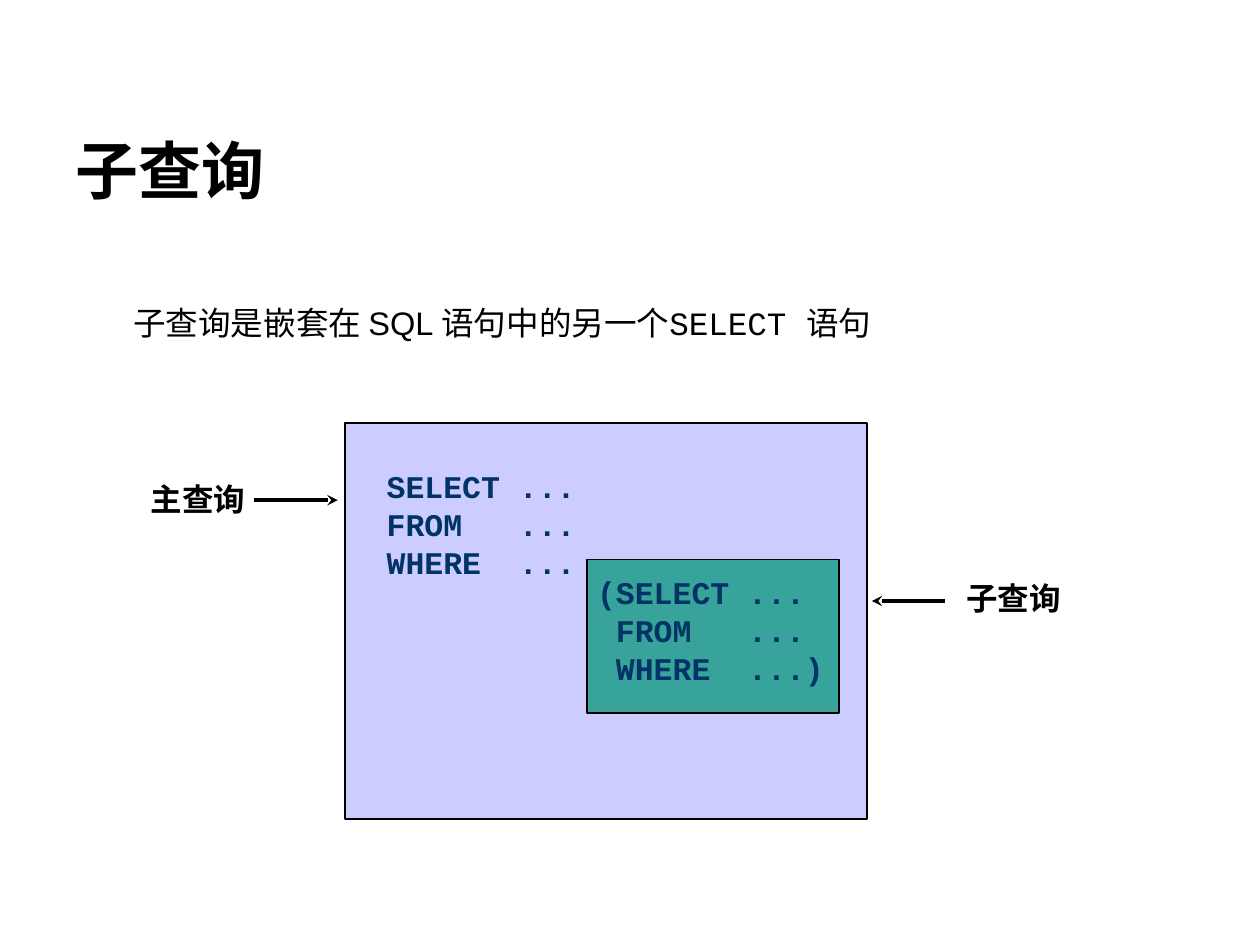
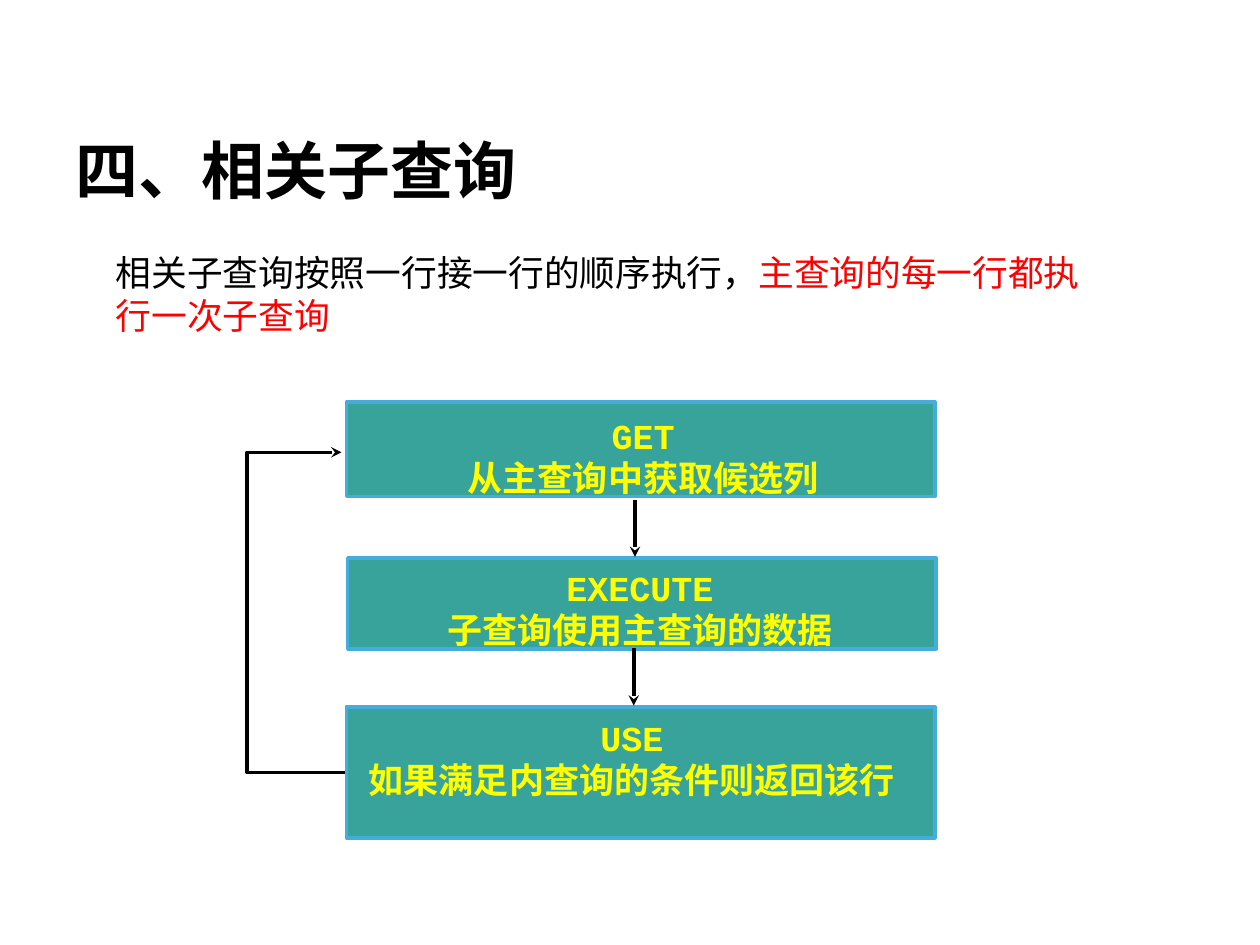
from dataclasses import dataclass

from lxml.etree import SubElement
from pptx import Presentation
from pptx.dml.color import RGBColor
from pptx.enum.shapes import MSO_CONNECTOR, MSO_SHAPE
from pptx.enum.text import MSO_ANCHOR, PP_ALIGN
from pptx.oxml.ns import qn
from pptx.slide import Slide
from pptx.util import Emu, Inches, Pt

COLUMNS, ROWS = 100, 75
SLIDE_WIDTH, SLIDE_HEIGHT = Inches(10), Inches(7.5)

BLACK, RED, YELLOW = "000000", "FF0000", "FFFF00"
NAVY, LAVENDER, TEAL, SKY = "003366", "CCCCFF", "38A39A", "44ADDB"
SANS, MONO = "Arial", "Courier New"


@dataclass(frozen=True)
class Area:
    column: float
    row: float
    columns: float
    rows: float


@dataclass(frozen=True)
class Style:
    size: float
    face: str = SANS
    color: str = BLACK
    bold: bool = False
    align: PP_ALIGN = PP_ALIGN.LEFT
    anchor: MSO_ANCHOR = MSO_ANCHOR.TOP
    spacing: float = 1.0
    tab_columns: float = 0


@dataclass(frozen=True)
class Span:
    text: str
    face: str | None = None
    color: str | None = None


@dataclass(frozen=True)
class Panel:
    area: Area
    fill: str
    line: str
    weight: float


@dataclass(frozen=True)
class Label:
    area: Area
    lines: list[str]
    style: Style


@dataclass(frozen=True)
class Step:
    row: float
    rows: float
    column: float
    caption_row: float
    caption_center: float
    lines: list[str]


TITLE = Style(36, bold=True, anchor=MSO_ANCHOR.MIDDLE, spacing=0.9)
TITLE_AREA = Area(5, 7.6, 90, 12.5)
CALLOUT = Style(18, bold=True)
OUTER_CODE = Style(18, MONO, NAVY, bold=True, tab_columns=10.5)
INNER_CODE = Style(18, MONO, NAVY, bold=True, tab_columns=12)
STEP_TEXT = Style(20, MONO, YELLOW, bold=True, align=PP_ALIGN.CENTER)

QUERY_PANELS = [
    Panel(Area(27.4, 33.6, 41.4, 31.4), LAVENDER, BLACK, 1),
    Panel(Area(46.6, 44.4, 20, 12.2), TEAL, BLACK, 1),
]
QUERY_LABELS = [
    Label(Area(29.7, 36.6, 18.5, 10),
          ["SELECT\t...", "FROM\t...", "WHERE\t..."], OUTER_CODE),
    Label(Area(46.4, 45, 21, 10),
          ["(SELECT\t...", " FROM\t...", " WHERE\t...)"], INNER_CODE),
    Label(Area(11, 37.6, 11, 4), ["主查询"], CALLOUT),
    Label(Area(75.7, 45.5, 12.1, 5), ["子查询"], CALLOUT),
]
QUERY_ARROWS = [((20.2, 39.7), (26.8, 39.7)), ((75, 47.7), (69.2, 47.7))]

STEP_COLUMNS, CAPTION_ROWS = 46.7, 7.7
STEPS = [
    Step(31.9, 7.5, 27.5, 32.4, 51.05, ["GET", "从主查询中获取候选列"]),
    Step(44.3, 7.2, 27.6, 44.5, 50.8, ["EXECUTE", "子查询使用主查询的数据"]),
    Step(56.1, 10.4, 27.5, 56.4, 50.15, ["USE", "如果满足内查询的条件则返回该行"]),
]
STEP_ARROWS = [((50.4, 39.7), (50.4, 44.2)), ((50.3, 51.4), (50.3, 56))]
LOOP_BACK = [(27.8, 61.3), (19.6, 61.3), (19.6, 35.9), (27.1, 35.9)]


def color_of(hex_text: str) -> RGBColor:
    return RGBColor.from_string(hex_text)


def across(columns: float) -> Emu:
    return Emu(round(SLIDE_WIDTH * columns / COLUMNS))


def down(rows: float) -> Emu:
    return Emu(round(SLIDE_HEIGHT * rows / ROWS))


def place(area: Area) -> tuple[Emu, Emu, Emu, Emu]:
    return across(area.column), down(area.row), across(area.columns), down(area.rows)


def add_text(page: Slide, area: Area, paragraphs: list[list[Span]], style: Style) -> None:
    frame = page.shapes.add_textbox(*place(area)).text_frame
    frame.word_wrap = True
    frame.vertical_anchor = style.anchor
    for index, spans in enumerate(paragraphs):
        para = frame.add_paragraph() if index else frame.paragraphs[0]
        para.alignment = style.align
        para.line_spacing = style.spacing
        if style.tab_columns:
            stops = SubElement(para._p.get_or_add_pPr(), qn("a:tabLst"))
            SubElement(stops, qn("a:tab"), pos=str(across(style.tab_columns)), algn="l")
        para.font.size = Pt(style.size)
        para.font.name = style.face
        para.font.bold = style.bold
        para.font.color.rgb = color_of(style.color)
        for span in spans:
            run = para.add_run()
            run.text = span.text
            if span.face:
                run.font.name = span.face
            if span.color:
                run.font.color.rgb = color_of(span.color)


def add_label(page: Slide, label: Label) -> None:
    add_text(page, label.area, [[Span(line)] for line in label.lines], label.style)


def add_title(page: Slide, text: str) -> None:
    add_label(page, Label(TITLE_AREA, [text], TITLE))


def add_panel(page: Slide, panel: Panel) -> None:
    box = page.shapes.add_shape(MSO_SHAPE.RECTANGLE, *place(panel.area))
    box.shadow.inherit = False
    box.fill.solid()
    box.fill.fore_color.rgb = color_of(panel.fill)
    box.line.color.rgb = color_of(panel.line)
    box.line.width = Pt(panel.weight)


def style_arrow(arrow) -> None:
    arrow.line.color.rgb = color_of(BLACK)
    arrow.line.width = Pt(2)
    properties = arrow.element.spPr
    SubElement(properties.find(qn("a:ln")), qn("a:tailEnd"), type="stealth")
    SubElement(properties, qn("a:effectLst"))


def add_arrow(page: Slide, start: tuple[float, float], end: tuple[float, float]) -> None:
    style_arrow(page.shapes.add_connector(
        MSO_CONNECTOR.STRAIGHT,
        across(start[0]), down(start[1]), across(end[0]), down(end[1])))


def add_bent_arrow(page: Slide, points: list[tuple[float, float]]) -> None:
    corners = [(across(column), down(row)) for column, row in points]
    builder = page.shapes.build_freeform(*corners[0])
    builder.add_line_segments(corners[1:], close=False)
    outline = builder.convert_to_shape()
    outline.fill.background()
    style_arrow(outline)


def build_subquery(page: Slide) -> None:
    add_title(page, "子查询")
    add_text(page, Area(9.6, 24.4, 80.8, 4.5), [[
        Span("子查询是嵌套在 SQL 语句中的另一个"),
        Span("SELECT ", face=MONO),
        Span("语句"),
    ]], Style(18.6, spacing=0.7))
    for panel, code in zip(QUERY_PANELS, QUERY_LABELS):
        add_panel(page, panel)
        add_label(page, code)
    for callout in QUERY_LABELS[len(QUERY_PANELS):]:
        add_label(page, callout)
    for start, end in QUERY_ARROWS:
        add_arrow(page, start, end)


def build_correlated_subquery(page: Slide) -> None:
    add_bent_arrow(page, LOOP_BACK)
    add_title(page, "四、相关子查询")
    add_text(page, Area(8.2, 19.4, 80.8, 10.1), [[
        Span("相关子查询按照一行接一行的顺序执行，"),
        Span("主查询的每一行都执行一次子查询", color=RED),
    ]], Style(20.4, MONO))
    for step in STEPS:
        add_panel(page, Panel(
            Area(step.column, step.row, STEP_COLUMNS, step.rows), TEAL, SKY, 2))
        caption = Area(step.caption_center - STEP_COLUMNS / 2, step.caption_row,
                       STEP_COLUMNS, CAPTION_ROWS)
        add_label(page, Label(caption, step.lines, STEP_TEXT))
    for start, end in STEP_ARROWS:
        add_arrow(page, start, end)


def main() -> None:
    deck = Presentation()
    deck.slide_width, deck.slide_height = SLIDE_WIDTH, SLIDE_HEIGHT
    blank = deck.slide_layouts[6]
    for build in (build_subquery, build_correlated_subquery):
        build(deck.slides.add_slide(blank))
    deck.save("out.pptx")


if __name__ == "__main__":
    main()
